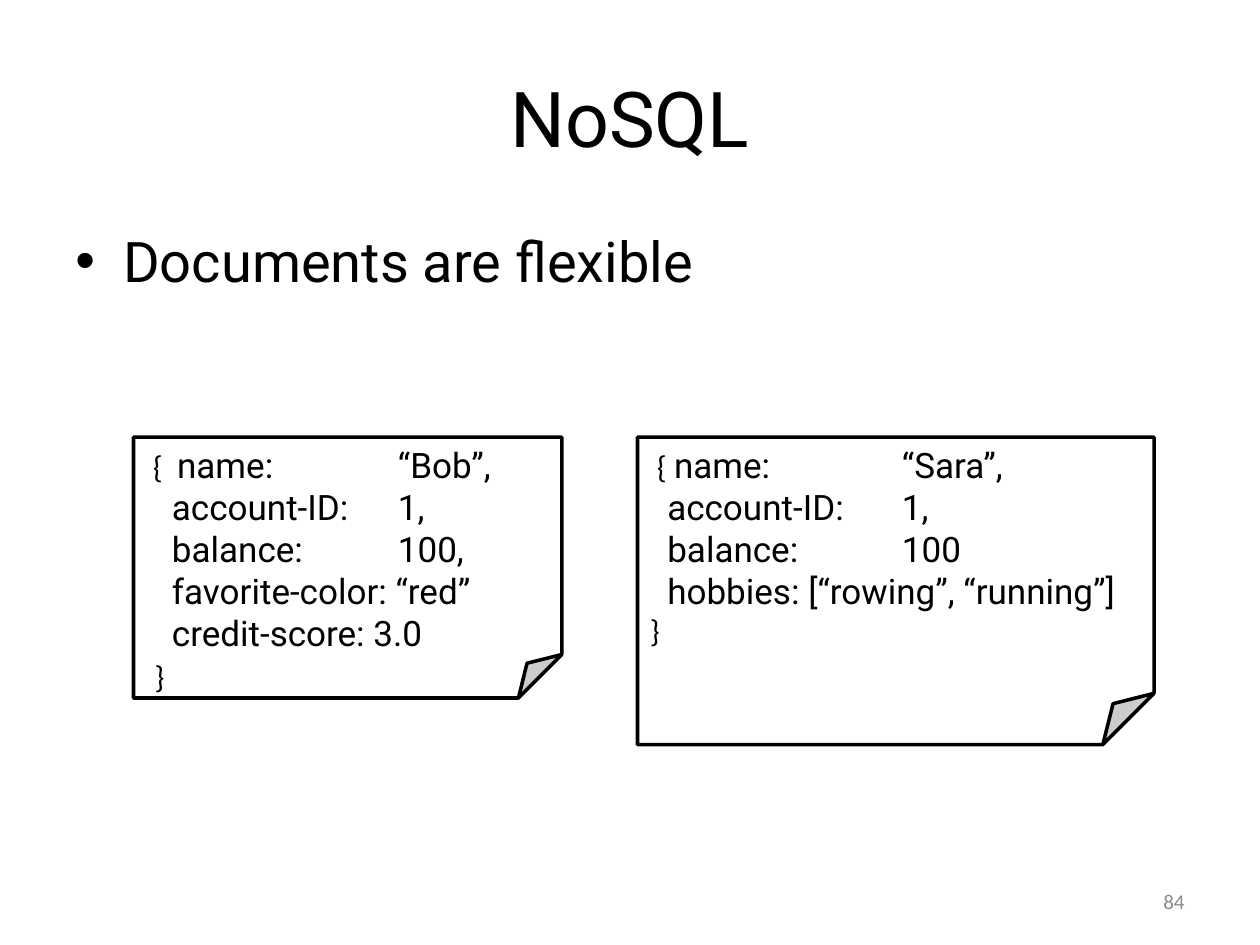
import pptx
import pptx.util
import pptx.dml.color
import pptx.enum.shapes
import pptx.enum.text
from dataclasses import dataclass
from lxml import etree
from pptx.oxml.ns import qn

Inches = pptx.util.Inches
Align = pptx.enum.text.PP_ALIGN
Anchor = pptx.enum.text.MSO_ANCHOR


@dataclass(frozen=True)
class Theme:
    ink: str = "000000"
    paper: str = "FFFFFF"
    gray: str = "8C8C8C"
    main: str = "Roboto"
    plain: str = "Calibri"
    title: int = 44
    body: int = 32
    code: int = 20
    brace: int = 18
    foot: int = 12
    edge: int = 2


THEME = Theme()


def color(hex):
    return pptx.dml.color.RGBColor.from_string(hex)


def style(font, name, size, ink=THEME.ink):
    font.name = name
    font.size = pptx.util.Pt(size)
    font.color.rgb = color(ink)


def place(shape, box):
    shape.left, shape.top, shape.width, shape.height = map(Inches, box)


def add_text(slide, box, text):
    frame = slide.shapes.add_textbox(*map(Inches, box)).text_frame
    frame.word_wrap = True
    para = frame.paragraphs[0]
    para.text = text
    return frame, para


def add_title(slide, box, text):
    title = slide.shapes.title
    place(title, box)
    title.text_frame.vertical_anchor = Anchor.MIDDLE
    para = title.text_frame.paragraphs[0]
    para.text = text
    para.alignment = Align.CENTER
    style(para.font, THEME.main, THEME.title)


def add_bullet(slide, box, text):
    para = add_text(slide, box, text)[1]
    props = para._p.get_or_add_pPr()
    props.set("marL", str(Inches(0.38)))
    props.set("indent", str(Inches(-0.38)))
    etree.SubElement(props, qn("a:buFont"), typeface="Arial")
    etree.SubElement(props, qn("a:buChar"), char="•")
    style(para.font, THEME.main, THEME.body)


def add_note(slide, box, lines):
    kind = pptx.enum.shapes.MSO_SHAPE.FOLDED_CORNER
    note = slide.shapes.add_shape(kind, *map(Inches, box))
    note.shadow.inherit = False
    note.fill.solid()
    note.fill.fore_color.rgb = color(THEME.paper)
    note.line.color.rgb = color(THEME.ink)
    note.line.width = pptx.util.Pt(THEME.edge)
    frame = note.text_frame
    frame.word_wrap = True
    frame.vertical_anchor = Anchor.TOP
    for row, parts in enumerate(lines):
        para = frame.add_paragraph() if row else frame.paragraphs[0]
        para.alignment = Align.LEFT
        tabs = etree.SubElement(para._p.get_or_add_pPr(), qn("a:tabLst"))
        etree.SubElement(tabs, qn("a:tab"), pos=str(Inches(2)), algn="l")
        style(para.font, THEME.main, THEME.code)
        for text in parts:
            run = para.add_run()
            run.text = text
            if "{" in text or "}" in text:
                style(run.font, THEME.plain, THEME.brace)


def add_number(slide, box, text):
    frame, para = add_text(slide, box, text)
    frame.vertical_anchor = Anchor.MIDDLE
    para.alignment = Align.RIGHT
    style(para.font, THEME.plain, THEME.foot, THEME.gray)


def main():
    deck = pptx.Presentation()
    deck.slide_width, deck.slide_height = Inches(10), Inches(7.5)
    slide = deck.slides.add_slide(deck.slide_layouts.get_by_name("Title Only"))
    add_title(slide, (0.5, 0.3, 9, 1.25), "NoSQL")
    add_bullet(slide, (0.5, 1.75, 9, 4.95), "Documents are flexible")
    add_note(slide, (1.06, 3.47, 3.4, 2.07), [
        (" {  ", "name: \t“Bob”,"),
        ("   account-ID: \t1,",),
        ("   balance: \t100,",),
        ("   favorite-color: “red”",),
        ("   credit-score: 3.0",),
        (" ", "}"),
    ])
    add_note(slide, (5.06, 3.47, 4.1, 2.44), [
        (" { ", "name: \t“Sara”,"),
        ("  account-ID: \t1,",),
        ("  balance: \t100",),
        ("  hobbies: [“rowing”, “running”]",),
        ("}",),
    ])
    add_number(slide, (7.17, 6.95, 2.33, 0.4), "84")
    deck.save("out.pptx")


if __name__ == "__main__":
    main()
